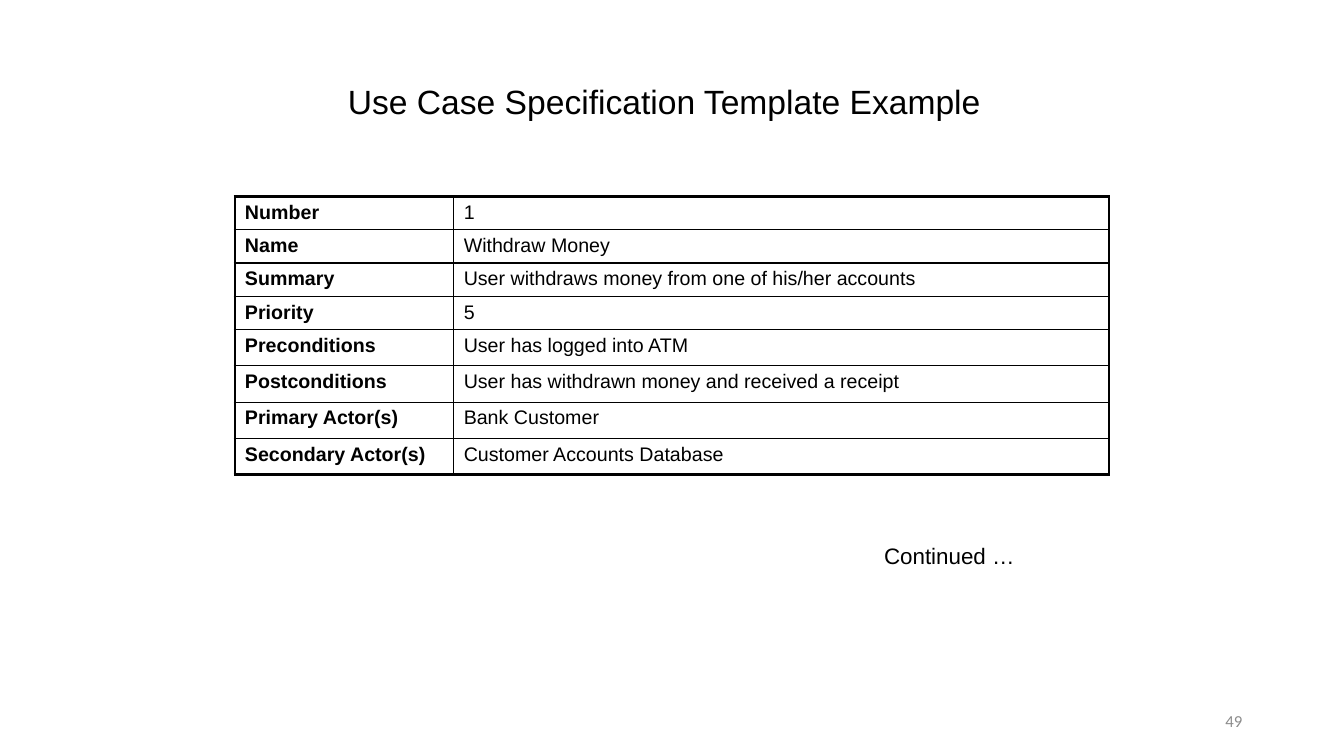
from dataclasses import dataclass

from lxml import etree
from pptx import Presentation
from pptx.dml.color import RGBColor
from pptx.enum.text import MSO_ANCHOR, MSO_AUTO_SIZE, PP_ALIGN
from pptx.oxml.ns import qn
from pptx.util import Inches, Pt

LEFT, RIGHT = PP_ALIGN.LEFT, PP_ALIGN.RIGHT
TOP, MIDDLE = MSO_ANCHOR.TOP, MSO_ANCHOR.MIDDLE
NO_FIT = MSO_AUTO_SIZE.NONE
TITLE_ONLY = 5


@dataclass(frozen=True)
class Theme:
    """Colours, fonts, type sizes and line widths of the slide."""
    ink: str = "000000"
    muted: str = "8C8C8C"
    font: str = "Arial"
    number_font: str = "Calibri"
    title_size: int = 24
    note_size: int = 16
    table_size: int = 14
    number_size: int = 12
    frame_width: float = 2.25
    rule_width: float = 1


THEME = Theme()

USE_CASE = [
    ("Number", "1"),
    ("Name", "Withdraw Money"),
    ("Summary", "User withdraws money from one of his/her accounts"),
    ("Priority", "5"),
    ("Preconditions", "User has logged into ATM"),
    ("Postconditions", "User has withdrawn money and received a receipt"),
    ("Primary Actor(s)", "Bank Customer"),
    ("Secondary Actor(s)", "Customer Accounts Database"),
]
COLUMN_WIDTHS = [2.17, 6.5]
ROW_HEIGHTS = [0.33] * 4 + [0.36] * 4


def write_text(frame, text, size, font=THEME.font, color=THEME.ink,
               bold=False, align=LEFT):
    """Write one formatted paragraph into a text frame."""
    para = frame.paragraphs[0]
    para.alignment = align
    span = para.add_run()
    span.text = text
    span.font.size = Pt(size)
    span.font.name = font
    span.font.bold = bold
    span.font.color.rgb = RGBColor.from_string(color)


def place(shape, box):
    """Move a shape to a box of left, top, width and height in inches."""
    shape.left, shape.top, shape.width, shape.height = map(Inches, box)


def add_title(page, box, text):
    """Fill the title placeholder inside the box."""
    title = page.shapes.title
    place(title, box)
    frame = title.text_frame
    frame.word_wrap = False
    frame.auto_size = NO_FIT
    frame.vertical_anchor = TOP
    write_text(frame, text, THEME.title_size)


def add_label(page, box, text, size, anchor=TOP, **text_format):
    """Add a wrapped text box."""
    frame = page.shapes.add_textbox(*map(Inches, box)).text_frame
    frame.word_wrap = True
    frame.vertical_anchor = anchor
    write_text(frame, text, size, **text_format)


def set_borders(cell, widths):
    """Draw the cell's borders from a mapping of side to width in points."""
    properties = cell._tc.get_or_add_tcPr()
    for side, width in widths.items():
        line = etree.SubElement(properties, qn(f"a:ln{side}"), w=str(Pt(width)))
        fill = etree.SubElement(line, qn("a:solidFill"))
        etree.SubElement(fill, qn("a:srgbClr"), val=THEME.ink)


def add_use_case_table(page, box, rows):
    """Add the two-column table with a heavy frame and thin inner rules."""
    last_row, last_column = len(rows) - 1, len(COLUMN_WIDTHS) - 1
    table = page.shapes.add_table(
        len(rows), len(COLUMN_WIDTHS), *map(Inches, box)).table
    table.first_row = table.horz_banding = False
    for column, width in zip(table.columns, COLUMN_WIDTHS):
        column.width = Inches(width)
    for row, height in zip(table.rows, ROW_HEIGHTS):
        row.height = Inches(height)
    for i, texts in enumerate(rows):
        for j, text in enumerate(texts):
            cell = table.cell(i, j)
            on_frame = {"L": j == 0, "R": j == last_column,
                        "T": i == 0, "B": i == last_row}
            set_borders(cell, {
                side: THEME.frame_width if outer else THEME.rule_width
                for side, outer in on_frame.items()})
            cell.fill.background()
            write_text(cell.text_frame, text, THEME.table_size, bold=j == 0)


def build_use_case_slide(deck):
    """Add the use case slide with its title, table, note and number."""
    page = deck.slides.add_slide(deck.slide_layouts[TITLE_ONLY])
    add_title(page, (3.35, 0.75, 6.52, 0.5),
              "Use Case Specification Template Example")
    add_use_case_table(
        page, (2.33, 1.95, sum(COLUMN_WIDTHS), sum(ROW_HEIGHTS)), USE_CASE)
    add_label(page, (8.67, 5.33, 1.75, 0.37), "Continued …", THEME.note_size)
    add_label(page, (9.42, 6.95, 3, 0.4), "49", THEME.number_size,
              anchor=MIDDLE, font=THEME.number_font, color=THEME.muted,
              align=RIGHT)


def main():
    """Build and save the deck."""
    deck = Presentation()
    deck.slide_width, deck.slide_height = Inches(13.33), Inches(7.5)
    build_use_case_slide(deck)
    deck.save("out.pptx")


if __name__ == "__main__":
    main()
